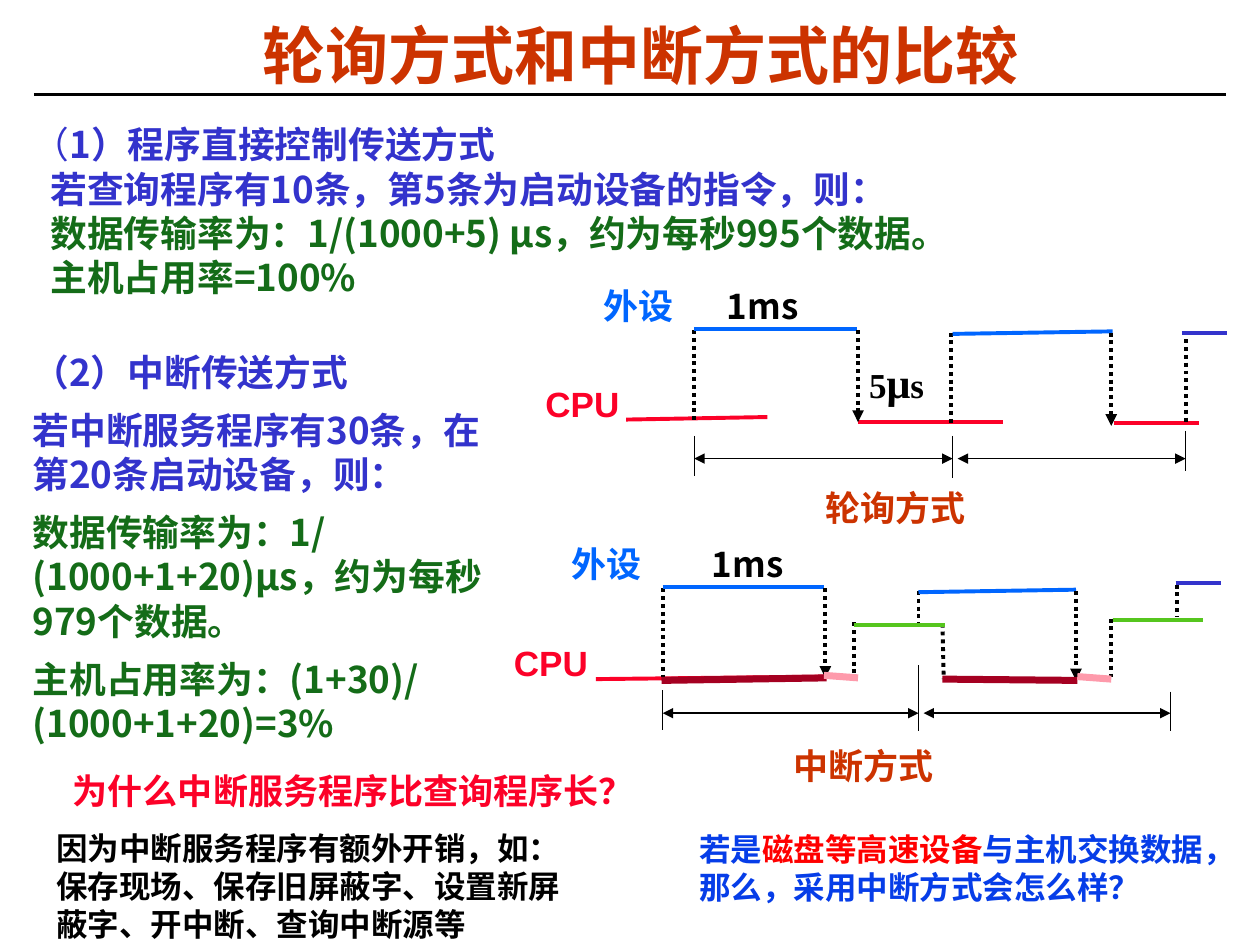
from lxml import etree
from pptx import Presentation
from pptx.dml.color import RGBColor
from pptx.enum.dml import MSO_LINE
from pptx.enum.shapes import MSO_CONNECTOR
from pptx.enum.text import MSO_ANCHOR, PP_ALIGN
from pptx.oxml.ns import qn
from pptx.util import Inches, Pt

STRAIGHT = MSO_CONNECTOR.STRAIGHT
DOTTED = MSO_LINE.ROUND_DOT
MIDDLE = MSO_ANCHOR.MIDDLE
CENTER = PP_ALIGN.CENTER

COLUMNS, ROWS = 100, 75
CELL = Inches(0.1)
CJK, SANS, SERIF = "Noto Sans CJK SC", "Arial", "Times New Roman"
BLACK, RUST, INDIGO, GREEN = "000000", "CC3300", "3333CC", "146C18"
RED, SKY, BLUE, BRIGHT_RED = "FC0128", "0066FF", "063DE8", "FF0000"
LIME, MAROON, PINK = "56C61E", "A50021", "FE9AAB"

# Line kinds: colour, width in points, dash, arrow at start, arrow at end
KINDS = {
    "cpu": (RED, 2.25, None, False, False),
    "device": (SKY, 2.25, None, False, False),
    "next device": (INDIGO, 2.25, None, False, False),
    "main program": (LIME, 2.25, None, False, False),
    "edge": (BLACK, 2.25, DOTTED, False, False),
    "signal": (BLACK, 2.25, DOTTED, False, True),
    "tick": (BLACK, 0.75, None, False, False),
    "cycle": (BLACK, 0.75, None, True, True),
    "waiting": (MAROON, 4, None, False, False),
    "service": (PINK, 4, None, False, False),
}

# Cells from the start of the first device pulse: x1, y1, x2, y2
POLLING = {
    "cpu": [(-5.4, 7.2, 5.8, 7), (13, 7.4, 24.5, 7.4), (33.3, 7.5, 40.1, 7.5)],
    "edge": [(0, 0.1, 0, 7.3), (20.4, 0.3, 20.4, 7.6), (39, 0.2, 39, 7.4)],
    "device": [(0, 0, 12.9, 0), (20.5, 0.4, 33.2, 0.2)],
    "signal": [(13, 0.1, 13, 7.4), (33.1, 0.3, 33.1, 7.7)],
    "next device": [(38.7, 0.3, 42.3, 0.3)],
    "tick": [(0, 8.5, 0, 11.7), (20.5, 8.5, 20.5, 11.8), (39, 8.1, 39, 11.3)],
    "cycle": [(0, 10.3, 20.5, 10.3), (20.9, 10.3, 39, 10.3)],
}
INTERRUPT = {
    "cpu": [(-5.3, 7.3, 13, 7.1)],
    "edge": [(0, 0.1, 0, 7.1), (15.2, 2.8, 15.2, 7.3), (20.3, 0.3, 20.3, 2.8),
             (22.2, 2.9, 22.3, 7.3), (35.6, 2.5, 35.6, 7.2), (40.8, -0.2, 40.8, 2.3)],
    "device": [(0, 0, 12.8, 0), (20.3, 0.4, 32.8, 0.2)],
    "signal": [(12.9, 0.1, 12.9, 7.2), (32.8, 0.3, 32.8, 7.4)],
    "next device": [(40.7, -0.3, 44.3, -0.3)],
    "main program": [(15.2, 3, 22.4, 3), (35.7, 2.6, 42.9, 2.6)],
    "tick": [(0, 8.2, 0, 11.3), (20.3, 6.2, 20.3, 11.4), (40.3, 8.3, 40.3, 11.4)],
    "cycle": [(0, 10, 20.3, 10), (20.7, 10, 40.3, 10)],
    "waiting": [(-0.1, 7.4, 13, 7.2), (22.2, 7.3, 32.9, 7.4)],
    "service": [(12.8, 7, 15.5, 7.2), (32.9, 7.1, 35.6, 7.3)],
}


def color(value):
    return RGBColor.from_string(value)


def cells(*counts):
    return [round(count * CELL) for count in counts]


def add_text(shapes, box, paras, size, font=CJK, margins=(1, 0.5), gap=0):
    """Each paragraph is a list of (text, colour) or (text, colour, size, bold) spans."""
    shape = shapes.add_textbox(*cells(*box))
    frame = shape.text_frame
    frame.word_wrap = True
    frame.margin_left = frame.margin_right = cells(margins[0])[0]
    frame.margin_top = frame.margin_bottom = cells(margins[1])[0]
    for index, spans in enumerate(paras):
        para = frame.paragraphs[0] if index == 0 else frame.add_paragraph()
        para.line_spacing = Pt(size * 1.2)
        para.space_before = Pt(gap if index else 0)
        para.font.name, para.font.size, para.font.bold = font, Pt(size), True
        for text, shade, *special in spans:
            span = para.add_run()
            span.text = text
            span.font.name = font
            span.font.color.rgb = color(shade)
            span.font.size = Pt(special[0] if special else size)
            span.font.bold = special[1] if special else True
            east = etree.SubElement(span.font._element, qn("a:ea"))
            east.set("typeface", CJK)
    return shape


def add_line(shapes, ends, kind):
    shade, width, dash, head, tail = KINDS[kind]
    line = shapes.add_connector(STRAIGHT, *cells(*ends))
    line.line.color.rgb = color(shade)
    line.line.width = Pt(width)
    if dash:
        line.line.dash_style = dash
    outline = line.line._get_or_add_ln()
    for wanted, tag in ((head, "a:headEnd"), (tail, "a:tailEnd")):
        if wanted:
            etree.SubElement(outline, qn(tag)).set("type", "triangle")
    etree.SubElement(line._element.spPr, qn("a:effectLst"))
    return line


def add_title(page, box):
    left, top, width, height = box
    rule = add_line(page.shapes, (2.7, top + 6.1, COLUMNS - 2.7, top + 6.1), "tick")
    rule.line.width = Pt(1.5)
    title = add_text(page.shapes, box, [[("轮询方式和中断方式的比较", RUST)]],
                     36, margins=(0.7, 0.3))
    title.text_frame.vertical_anchor = MIDDLE
    title.text_frame.paragraphs[0].alignment = CENTER


def add_polling_notes(page, box):
    notes = add_text(page.shapes, box, [
        [("（", INDIGO, 21, False), ("1）程序直接控制传送方式", INDIGO)],
        [("若查询程序有10条，第5条为启动设备的指令，则：", INDIGO)],
        [("数据传输率为：1/(1000+5) μs，约为每秒995个数据。", GREEN)],
        [("主机占用率=100%", GREEN)],
    ], 21, margins=(0.7, 0.3))
    for para in notes.text_frame.paragraphs[1:]:
        para._p.get_or_add_pPr().set("marL", str(Inches(0.14)))


def add_interrupt_notes(page, box):
    add_text(page.shapes, box, [
        [("（2）中断传送方式", INDIGO)],
        [("若中断服务程序有30条，在第20条启动设备，则：", INDIGO)],
        [("数据传输率为：1/(1000+1+20)μs，约为每秒979个数据。", GREEN)],
        [("主机占用率为：(1+30)/(1000+1+20)=3%", GREEN)],
    ], 21, gap=7.9)


def add_timing(page, origin, name, lines, pulse_label_x):
    """Draws one timing diagram; origin is the start of its first device pulse."""
    left, top = origin
    shapes = page.shapes.add_group_shape().shapes
    for kind, segments in lines.items():
        for x1, y1, x2, y2 in segments:
            add_line(shapes, (left + x1, top + y1, left + x2, top + y2), kind)
    labels = [
        ("外设", -8.2, -4, SKY, SERIF),
        ("CPU", -12.8, 3.8, RED, SANS),
        ("1ms", pulse_label_x, -4, BLACK, CJK),
        (name, 9.4, 12, RUST, CJK),
    ]
    for text, x, y, shade, font in labels:
        add_text(shapes, (left + x, top + y, 15, 4.4), [[(text, shade)]], 20, font)


def add_questions(page, box):
    left, top, width, height = box
    add_text(page.shapes, (left, top, 60, 4.4),
             [[("为什么中断服务程序比查询程序长？", RED)]], 20, SANS)
    add_text(page.shapes, (left - 1.3, top + 4.7, 42.6, 10),
             [[("因为中断服务程序有额外开销，如：保存现场、保存旧屏蔽字、"
                "设置新屏蔽字、开中断、查询中断源等", BLACK)]], 18, SANS)
    add_text(page.shapes, (left + width - 42.3, top + 4.8, 42.3, 7),
             [[("若是", BLUE), ("磁盘等高速设备", BRIGHT_RED),
               ("与主机交换数据，那么，采用中断方式会怎么样？", BLUE)]], 18, SANS)


def main():
    deck = Presentation()
    deck.slide_width, deck.slide_height = cells(COLUMNS, ROWS)
    page = deck.slides.add_slide(deck.slide_layouts[6])
    add_title(page, (4.4, 1.4, 92.9, 5.8))
    add_polling_notes(page, (1.9, 9.4, 85.6, 18.5))
    add_interrupt_notes(page, (1.6, 27.3, 40.1, 32.3))
    add_timing(page, (55.1, 26.1), "轮询方式", POLLING, 1.6)
    add_text(page.shapes, (68, 28.5, 11, 5),
             [[("5", BLACK), ("μ", BLACK, 24, True), ("s", BLACK)]], 20, SERIF)
    add_timing(page, (52.6, 46.6), "中断方式", INTERRUPT, 2.9)
    add_questions(page, (4.8, 60.6, 92, 14.7))
    deck.save("out.pptx")


if __name__ == "__main__":
    main()
